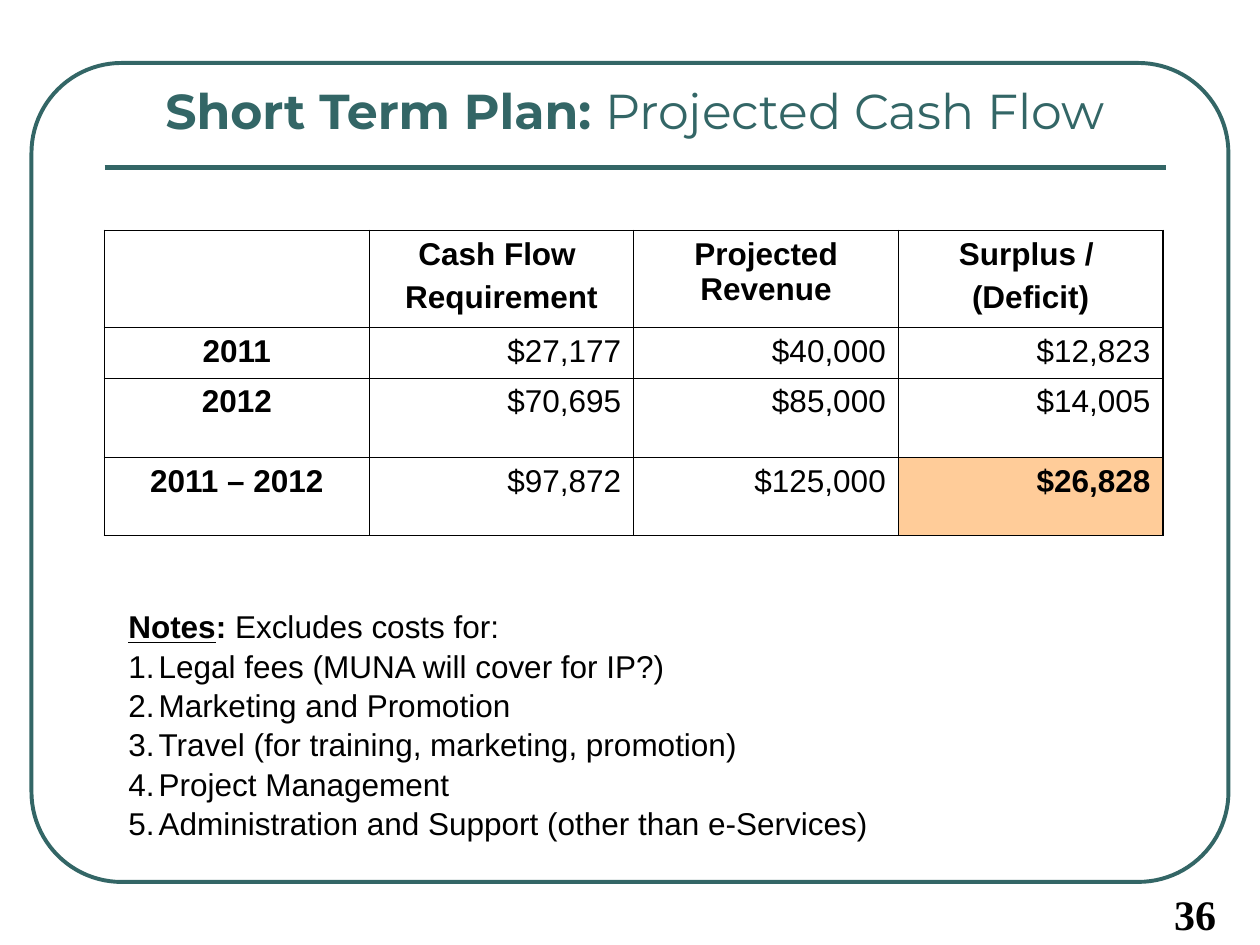
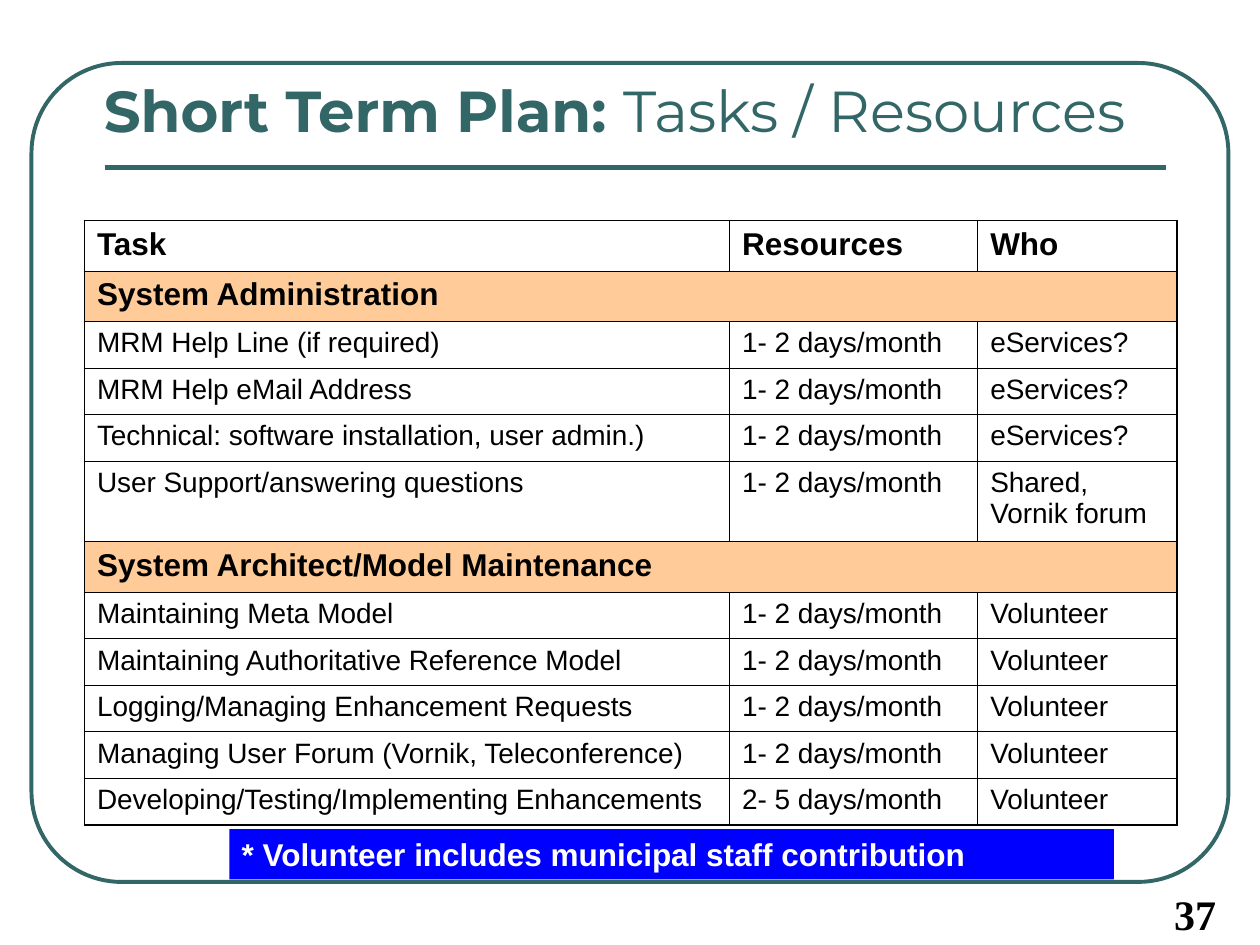
from dataclasses import dataclass
from typing import Any

import pptx
import pptx.dml.color
import pptx.enum.shapes
import pptx.enum.text
import pptx.oxml.ns
import pptx.util
from lxml import etree

Inches = pptx.util.Inches
Pt = pptx.util.Pt
Align = pptx.enum.text.PP_ALIGN
Shape = pptx.enum.shapes.MSO_SHAPE
LEFT, MID, RIGHT = Align.LEFT, Align.CENTER, Align.RIGHT

TEAL, PEACH, BLUE = "336666", "FFCC99", "0000FF"
BLACK, WHITE = "000000", "FFFFFF"
THICK, THIN = 1.08, 0.45


@dataclass
class Run:
    text: str
    size: float = 18
    bold: bool = False
    under: bool = False
    hue: str = BLACK
    font: str = "Arial"


@dataclass
class Box:
    left: float
    top: float
    width: float
    height: float

    def spans(self) -> list[int]:
        return [Inches(n) for n in (self.left, self.top, self.width, self.height)]


@dataclass
class Cell:
    text: str
    size: float = 18
    bold: bool = False
    align: Any = LEFT
    fill: str = ""
    span: int = 1


@dataclass
class Grid:
    box: Box
    cols: list[float]
    rows: list[float]
    cells: list[list[Cell]]


@dataclass
class Page:
    topic: str
    size: float
    title: Box
    grid: Grid
    number: int


def put(thing: Any, values: dict[str, Any]) -> None:
    for name, value in values.items():
        setattr(thing, name, value)


def shade(code: str) -> pptx.dml.color.RGBColor:
    return pptx.dml.color.RGBColor.from_string(code)


def node(parent: Any, tag: str, **values: str) -> Any:
    return etree.SubElement(parent, pptx.oxml.ns.qn(tag), values)


def paint(fill: Any, code: str) -> None:
    if code:
        fill.solid()
        fill.fore_color.rgb = shade(code)
    else:
        fill.background()


def write(para: Any, runs: list[Run], **form: Any) -> None:
    put(para, form)
    for run in runs:
        piece = para.add_run()
        piece.text = run.text
        put(piece.font, {"name": run.font, "size": Pt(run.size),
                         "bold": run.bold, "underline": run.under})
        piece.font.color.rgb = shade(run.hue)


def set_frame(shape: Any, anchor: Any = pptx.enum.text.MSO_ANCHOR.TOP) -> Any:
    put(shape.text_frame, {"word_wrap": True, "vertical_anchor": anchor,
                           "auto_size": pptx.enum.text.MSO_AUTO_SIZE.NONE})
    return shape.text_frame


def add_block(slide: Any, kind: Any, box: Box, fill: str = "", line: str = "") -> Any:
    block = slide.shapes.add_shape(kind, *box.spans())
    block.shadow.inherit = False
    paint(block.fill, fill)
    paint(block.line.fill, line)
    return block


def add_text(slide: Any, box: Box) -> Any:
    return set_frame(slide.shapes.add_textbox(*box.spans()))


def edge(cell: Any, sides: dict[str, float]) -> None:
    props = cell._tc.get_or_add_tcPr()
    for side, width in sides.items():
        line = node(props, f"a:ln{side}", w=str(Pt(width)))
        node(node(line, "a:solidFill"), "a:srgbClr", val=BLACK)


def add_grid(slide: Any, grid: Grid) -> None:
    deep, wide = len(grid.rows), len(grid.cols)
    table = slide.shapes.add_table(deep, wide, *grid.box.spans()).table
    put(table, {"first_row": False, "horz_banding": False})
    for col, width in zip(table.columns, grid.cols):
        col.width = Inches(width)
    for row, height in zip(table.rows, grid.rows):
        row.height = Inches(height)
    for y, line in enumerate(grid.cells):
        for x, item in enumerate(line):
            cell = table.cell(y, x)
            if item.span > 1:
                cell.merge(table.cell(y, x + item.span - 1))
            edge(cell, {"L": THIN if x else THICK,
                        "R": THICK if x + item.span == wide else THIN,
                        "T": THIN if y else THICK,
                        "B": THICK if y + 1 == deep else THIN})
            paint(cell.fill, item.fill)
            for i, text in enumerate(item.text.split("\n")):
                frame = cell.text_frame
                para = frame.add_paragraph() if i else frame.paragraphs[0]
                write(para, [Run(text, item.size, item.bold)] if text else [],
                      alignment=item.align, space_before=Pt(item.size / 4))


def add_page(deck: Any, page: Page) -> Any:
    slide = deck.slides.add_slide(deck.slide_layouts[5])
    border = add_block(slide, Shape.ROUNDED_RECTANGLE, Box(0.25, 0.5, 9.5, 6.5), line=TEAL)
    border.adjustments[0] = 0.11
    border.line.width = Pt(2.25)
    rule = slide.shapes.add_connector(
        pptx.enum.shapes.MSO_CONNECTOR.STRAIGHT,
        Inches(0.83), Inches(1.33), Inches(9.25), Inches(1.33))
    rule.line.color.rgb = shade(TEAL)
    rule.line.width = Pt(3)
    node(rule._element.spPr, "a:effectLst")

    title = slide.shapes.title
    put(title, dict(zip(("left", "top", "width", "height"), page.title.spans())))
    frame = set_frame(title, pptx.enum.text.MSO_ANCHOR.MIDDLE)
    look = {"size": page.size, "hue": TEAL, "font": "Montserrat"}
    write(frame.paragraphs[0],
          [Run("Short Term Plan: ", bold=True, **look), Run(page.topic, **look)],
          alignment=MID)

    add_grid(slide, page.grid)
    frame = add_text(slide, Box(8.75, 7, 1, 0.5))
    write(frame.paragraphs[0],
          [Run(str(page.number), 24, True, font="Times New Roman")], alignment=RIGHT)
    return slide


def add_notes(slide: Any, items: list[str]) -> None:
    frame = add_text(slide, Box(0.92, 4.76, 8.02, 2.2))
    write(frame.paragraphs[0],
          [Run("Notes", bold=True, under=True), Run(":", bold=True),
           Run(" Excludes costs for:")], line_spacing=1.04)
    for item in items:
        para = frame.add_paragraph()
        write(para, [Run(item)], line_spacing=1.04)
        props = para._p.get_or_add_pPr()
        put_in = str(Inches(0.24))
        props.set("marL", put_in)
        props.set("indent", "-" + put_in)
        node(props, "a:buFont", typeface="Arial")
        node(props, "a:buAutoNum", type="arabicPeriod")


def cash_grid() -> Grid:
    heads = ["", "Cash Flow \nRequirement", "Projected Revenue", "Surplus / \n(Deficit)"]
    sums = [("2011", "$27,177", "$40,000", "$12,823"),
            ("2012", "$70,695", "$85,000", "$14,005"),
            ("2011 – 2012", "$97,872", "$125,000", "$26,828")]
    cells = [[Cell(head, bold=True, align=MID) for head in heads]]
    for year, *costs in sums:
        cells.append([Cell(year, bold=True, align=MID)]
                     + [Cell(cost, align=RIGHT) for cost in costs])
    put(cells[-1][-1], {"bold": True, "fill": PEACH})
    return Grid(Box(0.83, 1.83, 8.42, 2.42), [2.1] * 4, [0.77, 0.4, 0.63, 0.62], cells)


def task_grid() -> Grid:
    short, long = "1- 2 days/month", "2- 5 days/month"
    groups = {
        "System Administration": [
            ("MRM Help Line (if required)", short, "eServices?"),
            ("MRM Help eMail Address", short, "eServices?"),
            ("Technical: software installation, user admin.)", short, "eServices?"),
            ("User Support/answering questions", short, "Shared, Vornik forum")],
        "System Architect/Model Maintenance": [
            ("Maintaining Meta Model", short, "Volunteer"),
            ("Maintaining Authoritative Reference Model", short, "Volunteer"),
            ("Logging/Managing Enhancement Requests", short, "Volunteer"),
            ("Managing User Forum (Vornik, Teleconference)", short, "Volunteer"),
            ("Developing/Testing/Implementing Enhancements", long, "Volunteer")]}
    cells = [[Cell(head, bold=True) for head in ("Task", "Resources", "Who")]]
    rows = [0.4]
    for group, tasks in groups.items():
        cells.append([Cell(group, bold=True, fill=PEACH, span=3)])
        rows.append(0.4)
        for task in tasks:
            cells.append([Cell(text, 16) for text in task])
            rows.append(0.64 if "forum" in task[2] else 0.37)
    return Grid(Box(0.67, 1.75, 8.67, 4.8), [5.12, 1.97, 1.58], rows, cells)


def main() -> None:
    deck = pptx.Presentation()
    put(deck, {"slide_width": Inches(10), "slide_height": Inches(7.5)})

    cash = add_page(deck, Page("Projected Cash Flow", 28, Box(0.83, 0.58, 8.42, 0.58),
                               cash_grid(), 36))
    add_notes(cash, ["Legal fees (MUNA will cover for IP?)",
                     "Marketing and Promotion",
                     "Travel (for training, marketing, promotion)",
                     "Project Management",
                     "Administration and Support (other than e-Services)"])

    tasks = add_page(deck, Page("Tasks / Resources", 33, Box(0.17, 0.58, 9.42, 0.58),
                                task_grid(), 37))
    band = add_block(tasks, Shape.RECTANGLE, Box(1.82, 6.58, 7.02, 0.4), fill=BLUE)
    write(set_frame(band).paragraphs[0],
          [Run("* Volunteer includes municipal staff contribution", bold=True, hue=WHITE)],
          alignment=LEFT)
    deck.save("out.pptx")


if __name__ == "__main__":
    main()
